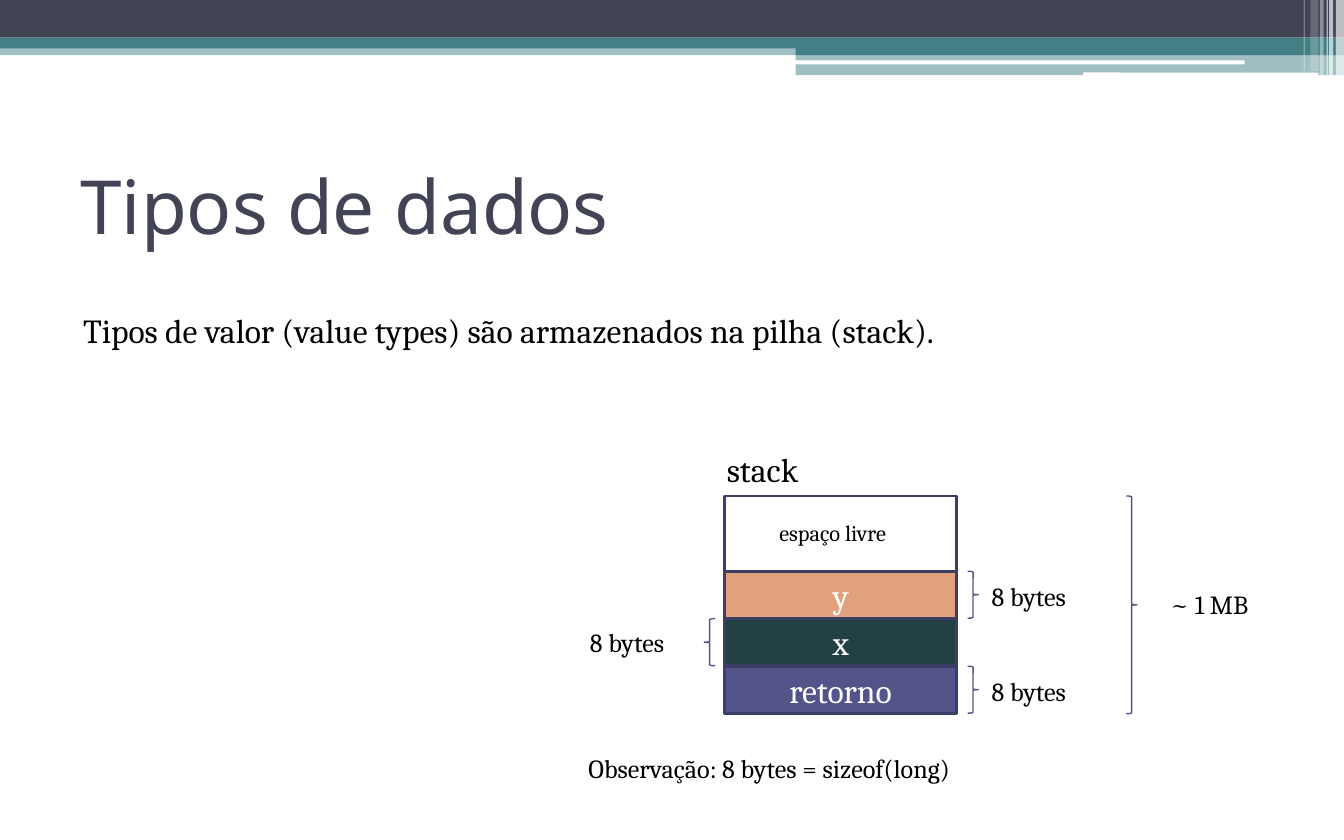
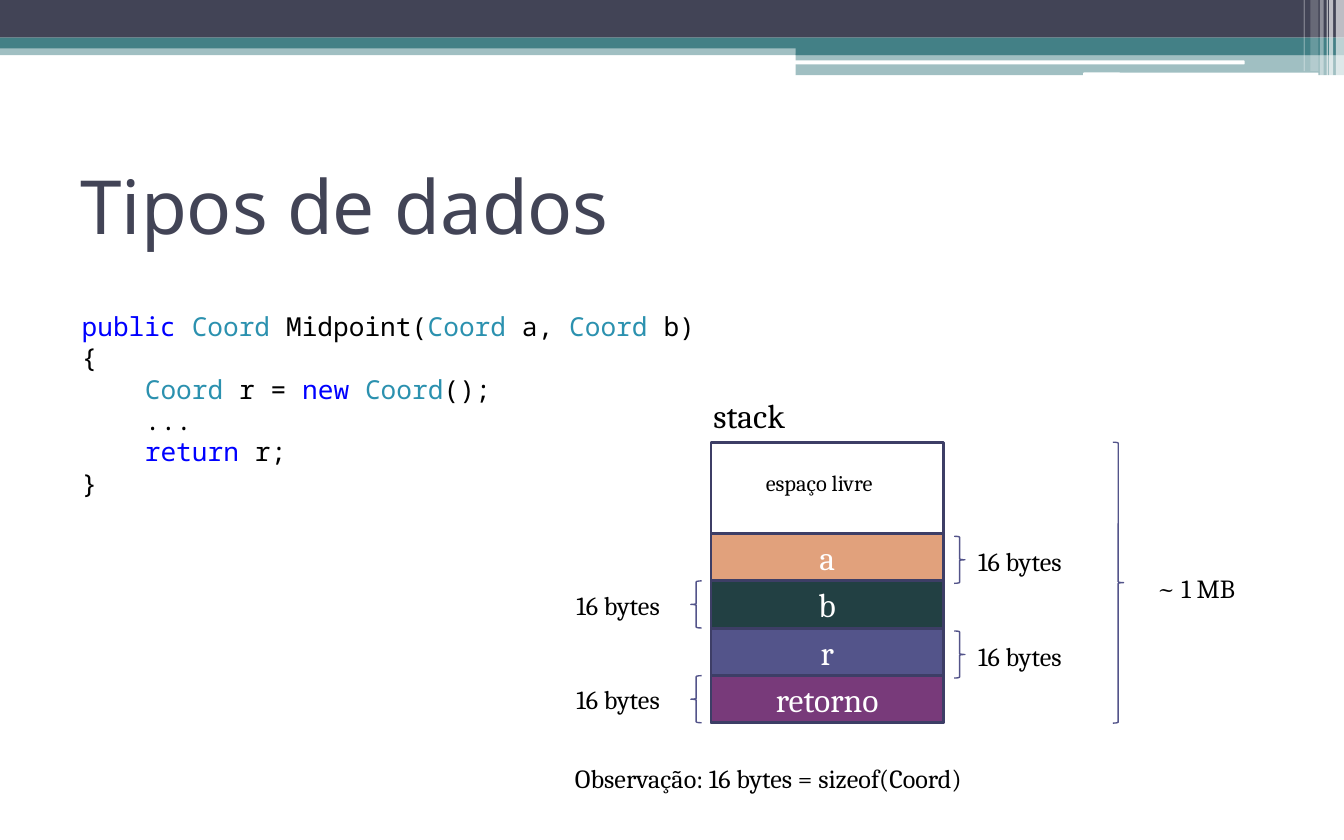
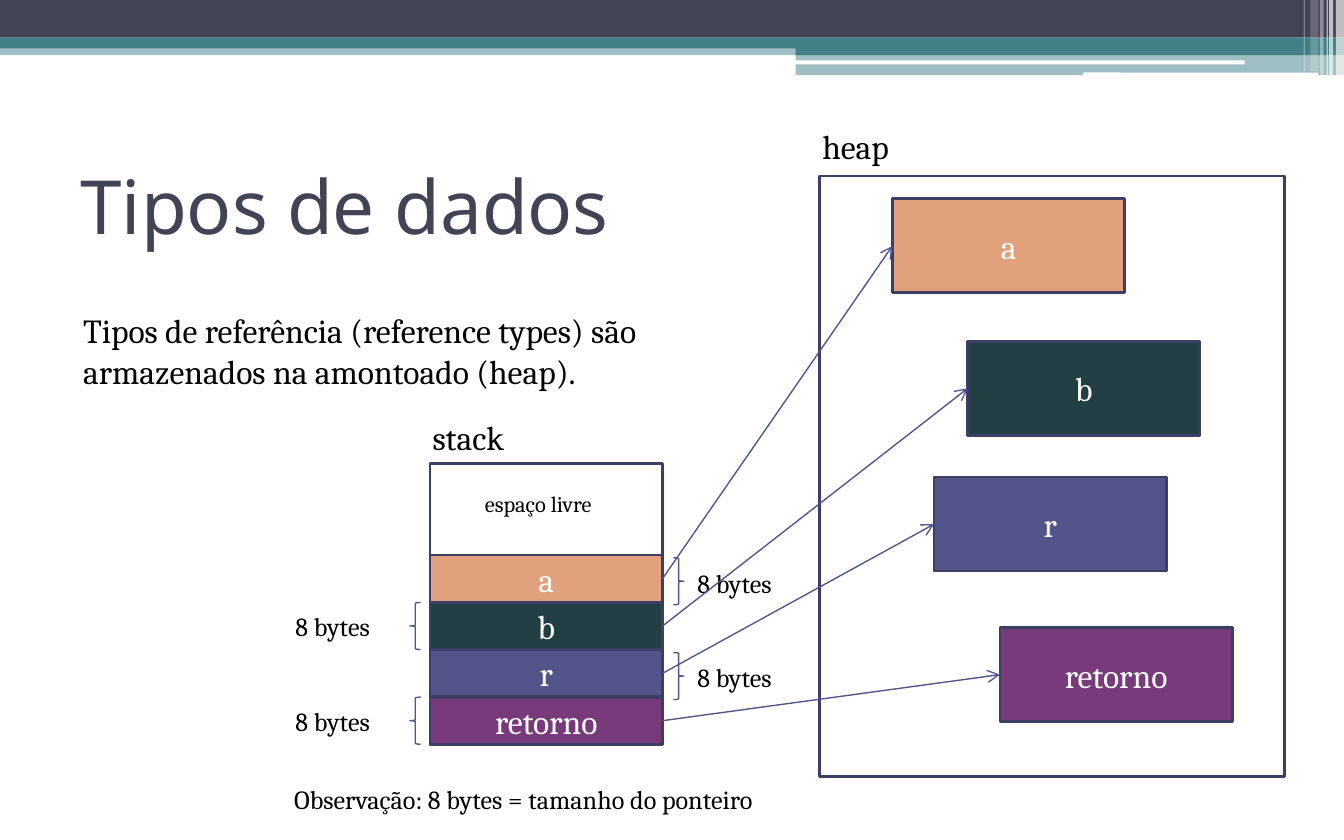
"""Builds three slides on how value and reference types sit in memory."""
from lxml import etree
from pptx import Presentation
from pptx.dml.color import RGBColor
from pptx.enum import shapes, text
from pptx.oxml.ns import qn
from pptx.util import Inches, Pt

WHITE = RGBColor(0xFF, 0xFF, 0xFF)
BLACK = RGBColor(0x00, 0x00, 0x00)
SLATE = RGBColor(0x42, 0x44, 0x56)
TEAL = RGBColor(0x43, 0x80, 0x86)
OUTLINE = RGBColor(0x3D, 0x3E, 0x66)
INDIGO = RGBColor(0x53, 0x54, 0x8A)
ORANGE = RGBColor(0xE1, 0xA1, 0x7C)
DARK_TEAL = RGBColor(0x22, 0x40, 0x43)
PURPLE = RGBColor(0x78, 0x3A, 0x7A)
KEYWORD = RGBColor(0x00, 0x00, 0xFF)
TYPE_NAME = RGBColor(0x2B, 0x91, 0xAF)
VARIABLE_COLORS = (ORANGE, DARK_TEAL, INDIGO, PURPLE)

TITLE_FONT, BODY_FONT, CODE_FONT = "Noto Sans", "Cambria", "Noto Sans Mono"
BOX_WIDTH, CELL_HEIGHT, HEAP_BOX_HEIGHT = 1.73, 0.35, 0.7
CODE_INDENT = 0.47

RECT = shapes.MSO_SHAPE.RECTANGLE
ROUNDED = shapes.MSO_SHAPE.ROUNDED_RECTANGLE

# Shape, left, top, width, height, colour, opacity in percent
BANDS = (
    (RECT, 0, 0.33, 10, 0.08, TEAL, 50),
    (RECT, 0, 0, 10, 0.28, SLATE, 100),
    (RECT, 0, 0.28, 10, 0.08, TEAL, 100),
    (RECT, 5.92, 0.33, 4.08, 0.08, TEAL, 100),
    (RECT, 5.92, 0.4, 4.08, 0.16, TEAL, 50),
    (ROUNDED, 5.91, 0.45, 3.35, 0.03, WHITE, 100),
    (ROUNDED, 8.06, 0.54, 1.75, 0.03, WHITE, 100),
    (RECT, 9.94, 0, 0.06, 0.57, WHITE, 65),
    (RECT, 9.89, 0, 0.03, 0.57, WHITE, 65),
    (RECT, 9.87, 0, 0.01, 0.57, WHITE, 60),
    (RECT, 9.82, 0, 0.03, 0.57, WHITE, 40),
    (RECT, 9.75, 0, 0.06, 0.53, WHITE, 20),
    (RECT, 9.7, 0, 0.01, 0.53, WHITE, 30),
)

# Indent level, then runs of wording and colour
CODE_LINES = (
    (0, (("public ", KEYWORD), ("Coord", TYPE_NAME), (" Midpoint(", BLACK),
         ("Coord", TYPE_NAME), (" a, ", BLACK), ("Coord", TYPE_NAME),
         (" b)", BLACK))),
    (0, (("{", BLACK),)),
    (1, (("Coord", TYPE_NAME), (" r = ", BLACK), ("new ", KEYWORD),
         ("Coord", TYPE_NAME), ("();", BLACK))),
    (1, (("...", BLACK),)),
    (1, (("return", KEYWORD), (" r;", BLACK))),
    (0, (("}", BLACK),)),
)


def add_run(paragraph, wording, size, font=BODY_FONT, color=BLACK):
    """Append one formatted run to a paragraph."""
    run = paragraph.add_run()
    run.text = wording
    run.font.size = Pt(size)
    run.font.name = font
    run.font.color.rgb = color


def add_frame(slide, left, top, width, height, wrap=True):
    """Add an empty text box and return its text frame."""
    frame = slide.shapes.add_textbox(
        Inches(left), Inches(top), Inches(width), Inches(height)).text_frame
    frame.word_wrap = wrap
    frame.auto_size = text.MSO_AUTO_SIZE.SHAPE_TO_FIT_TEXT
    return frame


def add_label(slide, wording, left, top, width, height, size, wrap=True):
    """Add a one-run text box in the body font."""
    frame = add_frame(slide, left, top, width, height, wrap)
    add_run(frame.paragraphs[0], wording, size)


def add_figure(slide, kind, left, top, width, height, fill=None, line=None,
               line_width=1.5, opacity=100):
    """Add a preset shape without shadow; no colour means no fill or line."""
    figure = slide.shapes.add_shape(
        kind, Inches(left), Inches(top), Inches(width), Inches(height))
    figure.shadow.inherit = False
    if fill is None:
        figure.fill.background()
    else:
        figure.fill.solid()
        figure.fill.fore_color.rgb = fill
        if opacity < 100:
            color = figure.fill._xPr.find(".//" + qn("a:srgbClr"))
            etree.SubElement(color, qn("a:alpha"), val=str(opacity * 1000))
    if line is None:
        figure.line.fill.background()
    else:
        figure.line.color.rgb = line
        figure.line.width = Pt(line_width)
    return figure


def add_variable(slide, name, left, top, height, color):
    """Add a coloured memory box carrying a variable name."""
    box = add_figure(slide, RECT, left, top, BOX_WIDTH, height, color, OUTLINE)
    frame = box.text_frame
    frame.vertical_anchor = text.MSO_ANCHOR.MIDDLE
    frame.paragraphs[0].alignment = text.PP_ALIGN.CENTER
    add_run(frame.paragraphs[0], name, 18, color=WHITE)


def add_brace(slide, kind, left, top, height):
    """Add a thin brace that spans a stretch of memory."""
    add_figure(slide, kind, left, top, 0.08, height, line=INDIGO,
               line_width=0.75)


def add_pointer(slide, start, end):
    """Add an arrow from a stack cell to a heap box."""
    pointer = slide.shapes.add_connector(
        shapes.MSO_CONNECTOR.STRAIGHT, *(Inches(v) for v in (*start, *end)))
    pointer.line.color.rgb = INDIGO
    pointer.line.width = Pt(0.75)
    etree.SubElement(pointer.line._get_or_add_ln(), qn("a:tailEnd"),
                     type="arrow")
    etree.SubElement(pointer._element.spPr, qn("a:effectLst"))


def add_stack(slide, names, left, top, height, free, cell_bytes, note,
              note_width=3.64, brace_drop=0.02, total_top=None):
    """Draw the stack with its size braces; return the top of each cell."""
    add_figure(slide, RECT, left, top, BOX_WIDTH, height, WHITE, OUTLINE)
    add_label(slide, "stack", left - 0.08, top - 0.4, 0.94, 0.4, 18)
    add_label(slide, "espaço livre", left + 0.31, top + free * 0.22,
              1.18, 0.3, 12)
    step = (height - free) / len(names)
    tops = [top + free + i * step for i in range(len(names))]
    label_width = 0.82 if len(cell_bytes) == 7 else 0.9
    for i, (name, cell_top) in enumerate(zip(names, tops)):
        add_variable(slide, name, left, cell_top, CELL_HEIGHT,
                     VARIABLE_COLORS[i])
        if i % 2 == 0:
            brace_top = cell_top + brace_drop
            add_brace(slide, shapes.MSO_SHAPE.RIGHT_BRACE, left + 1.81,
                      brace_top, CELL_HEIGHT)
            label_left, label_top = left + 1.89, brace_top + 0.02
        else:
            add_brace(slide, shapes.MSO_SHAPE.LEFT_BRACE, left - 0.15,
                      cell_top, CELL_HEIGHT)
            label_left, label_top = left - 1.1, cell_top + 0.01
        add_label(slide, cell_bytes, label_left, label_top, label_width, 0.34,
                  14, wrap=False)
    if total_top is not None:
        add_brace(slide, shapes.MSO_SHAPE.RIGHT_BRACE, left + 2.99, top, height)
        add_label(slide, "~ 1 MB", left + 3.22, total_top, 0.82, 0.34, 14,
                  wrap=False)
    add_label(slide, note, left - 1.11, top + height + 0.24, note_width,
              0.34, 14)
    return tops


def add_heap(slide, names, places):
    """Draw the heap frame with one box per variable."""
    add_figure(slide, RECT, 6.1, 1.31, 3.46, 4.47, line=OUTLINE)
    add_label(slide, "heap", 6.02, 0.89, 0.94, 0.4, 18)
    for name, (left, top), color in zip(names, places, VARIABLE_COLORS):
        add_variable(slide, name, left, top, HEAP_BOX_HEIGHT, color)


def add_code(slide):
    """Write the coloured code listing."""
    frame = add_frame(slide, 0.51, 2.26, 5.83, 1.51)
    for i, (level, runs) in enumerate(CODE_LINES):
        line = frame.add_paragraph() if i else frame.paragraphs[0]
        if level:
            indent = Inches(level * CODE_INDENT)
            line._p.get_or_add_pPr().set("marL", str(indent))
        for wording, color in runs:
            add_run(line, wording, 14, CODE_FONT, color)


def add_base(deck):
    """Add a slide with the shared bands and title."""
    slide = deck.slides.add_slide(deck.slide_layouts[6])
    for *place, color, opacity in BANDS:
        add_figure(slide, *place, fill=color, opacity=opacity)
    title = add_frame(slide, 0.5, 1.04, 9, 0.97)
    title.auto_size = text.MSO_AUTO_SIZE.NONE
    title.vertical_anchor = text.MSO_ANCHOR.MIDDLE
    add_run(title.paragraphs[0], "Tipos de dados", 40, TITLE_FONT, SLATE)
    return slide


def add_value_types(deck):
    """Slide 1: value types live on the stack."""
    slide = add_base(deck)
    add_stack(slide, ("y", "x", "retorno"), 5.39, 3.69, 1.62, 0.56, "8 bytes",
              "Observação: 8 bytes = sizeof(long)", brace_drop=0,
              total_top=4.33)
    add_label(slide,
              "Tipos de valor (value types) são armazenados na pilha (stack).",
              0.52, 2.26, 7.07, 0.4, 18, wrap=False)


def add_struct_call(deck, names):
    """Slide 2: a method call with struct values on the stack."""
    slide = add_base(deck)
    add_code(slide)
    add_stack(slide, names, 5.29, 3.29, 2.09, 0.68, "16 bytes",
              "Observação: 16 bytes = sizeof(Coord)", total_top=4.21)


def add_reference_types(deck, names):
    """Slide 3: stack cells point to objects on the heap."""
    slide = add_base(deck)
    add_label(slide, "Tipos de referência (reference types) são armazenados "
              "na amontoado (heap).", 0.52, 2.26, 5.26, 0.71, 18)
    stack_left = 3.2
    tops = add_stack(slide, names, stack_left, 3.45, 2.09, 0.68, "8 bytes",
                     "Observação: 8 bytes = tamanho do ponteiro",
                     note_width=4.18)
    places = ((6.64, 1.48), (7.2, 2.54), (6.95, 3.55), (7.44, 4.67))
    add_heap(slide, names, places)
    for cell_top, (left, top) in zip(tops, places):
        add_pointer(slide,
                    (stack_left + BOX_WIDTH, cell_top + CELL_HEIGHT / 2),
                    (left, top + HEAP_BOX_HEIGHT / 2))


def main():
    """Build and save the deck."""
    deck = Presentation()
    deck.slide_width, deck.slide_height = Inches(10), Inches(6.25)
    names = ("a", "b", "r", "retorno")
    add_value_types(deck)
    add_struct_call(deck, names)
    add_reference_types(deck, names)
    deck.save("out.pptx")


main()
